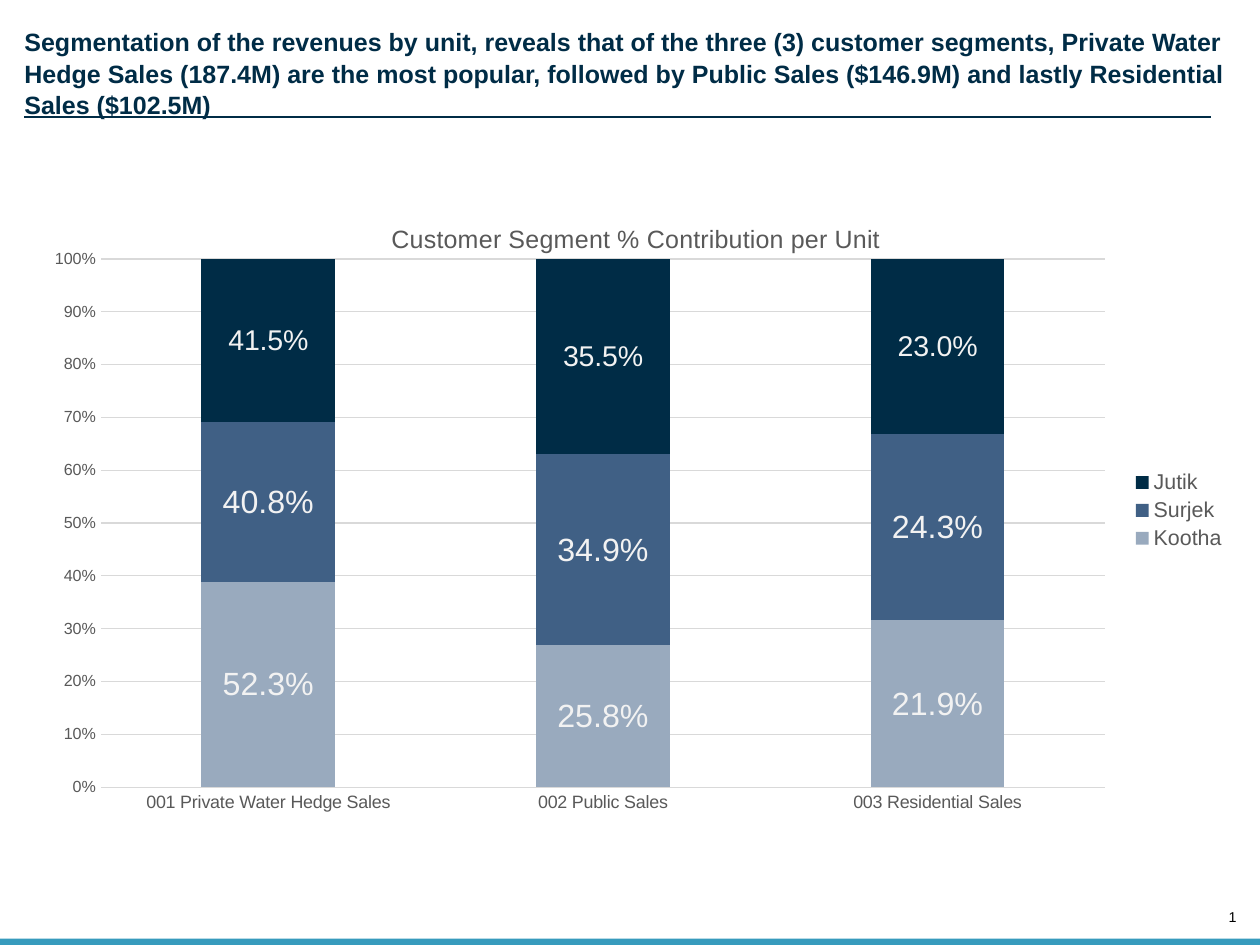
from lxml import etree
from pptx import Presentation
from pptx.chart.data import CategoryChartData
from pptx.dml.color import RGBColor
from pptx.enum.chart import XL_CHART_TYPE, XL_LABEL_POSITION, XL_LEGEND_POSITION, XL_TICK_MARK
from pptx.enum.shapes import MSO_CONNECTOR, MSO_SHAPE
from pptx.enum.text import MSO_ANCHOR, PP_ALIGN
from pptx.oxml.ns import qn
from pptx.util import Pt

STACKED = XL_CHART_TYPE.COLUMN_STACKED_100
CENTER = XL_LABEL_POSITION.CENTER
LEGEND_RIGHT = XL_LEGEND_POSITION.RIGHT
NO_TICK = XL_TICK_MARK.NONE
FONT = "Arial"
COLORS = {
    "navy": "002C46",
    "steel": "406085",
    "mist": "99AABE",
    "footer": "379BBD",
    "grey": "595959",
    "grid": "D9D9D9",
    "label": "F2F2F2",
    "black": "000000",
}
HEADLINE = (
    "Segmentation of the revenues by unit, reveals that of the three (3) customer segments, "
    "Private Water Hedge Sales (187.4M) are the most popular, followed by Public Sales "
    "($146.9M) and lastly Residential Sales ($102.5M)"
)
CATEGORIES = ["001 Private Water Hedge Sales", "002 Public Sales", "003 Residential Sales"]
SERIES = [  # name, values, color, label size
    ("Kootha", (0.523, 0.258, 0.219), "mist", 18),
    ("Surjek", (0.408, 0.349, 0.243), "steel", 18),
    ("Jutik", (0.415, 0.355, 0.23), "navy", 16),
]


def style_font(font, size, color, bold=False):
    font.name = FONT
    font.size = Pt(size)
    font.bold = bold
    font.color.rgb = RGBColor.from_string(COLORS[color])


def set_layout(parent, index, **settings):
    """Give a chart part a manual layout, placed as the child at index."""
    for old_layout in parent.findall(qn("c:layout")):
        parent.remove(old_layout)
    layout = etree.Element(qn("c:layout"))
    manual = etree.SubElement(layout, qn("c:manualLayout"))
    for name, value in settings.items():
        etree.SubElement(manual, qn("c:" + name)).set("val", str(value))
    parent.insert(index, layout)


presentation = Presentation()
presentation.slide_width = Pt(705.6)
presentation.slide_height = Pt(529.2)
slide = presentation.slides.add_slide(presentation.slide_layouts[6])

# Footer bar
footer = slide.shapes.add_shape(MSO_SHAPE.RECTANGLE, 0, Pt(525.6), Pt(705.6), Pt(3.6))
footer.shadow.inherit = False
footer.fill.solid()
footer.fill.fore_color.rgb = RGBColor.from_string(COLORS["footer"])
footer.line.fill.background()

# Headline and page number
texts = [  # text, box, size, color, bold, alignment, anchor, line spacing
    (HEADLINE, (13.7, 14.4, 688.3, 51.1), 14, "navy", True,
     PP_ALIGN.LEFT, MSO_ANCHOR.TOP, 1.04),
    ("1", (682.5, 509, 10, 9.4), 8, "black", False,
     PP_ALIGN.RIGHT, MSO_ANCHOR.BOTTOM, 1.0),
]
for text, box, size, color, bold, alignment, anchor, spacing in texts:
    frame = slide.shapes.add_textbox(*[Pt(length) for length in box]).text_frame
    frame.margin_left = frame.margin_right = frame.margin_top = frame.margin_bottom = 0
    frame.word_wrap = True
    frame.vertical_anchor = anchor
    frame.text = text
    paragraph = frame.paragraphs[0]
    paragraph.alignment = alignment
    paragraph.line_spacing = spacing
    style_font(paragraph.runs[0].font, size, color, bold)

rule = slide.shapes.add_connector(
    MSO_CONNECTOR.STRAIGHT, Pt(13.7), Pt(65.5), Pt(678.2), Pt(65.5))
rule.line.color.rgb = RGBColor.from_string(COLORS["navy"])
rule.line.width = Pt(0.75)
etree.SubElement(rule._element.spPr, qn("a:effectLst"))

# Chart
chart_data = CategoryChartData(number_format="0.0%")
chart_data.categories = CATEGORIES
for name, values, color, label_size in SERIES:
    chart_data.add_series(name, values)
chart = slide.shapes.add_chart(
    STACKED, Pt(21.6), Pt(108), Pt(672.5), Pt(355.7), chart_data).chart
style_font(chart.font, 10, "black")

chart.has_title = True
chart.chart_title.text_frame.text = "Customer Segment % Contribution per Unit"
style_font(chart.chart_title.text_frame.paragraphs[0].runs[0].font, 14, "grey")
chart.chart_title.include_in_layout = False
set_layout(chart.chart_title._element, 1, xMode="edge", yMode="edge", x=0.29, y=0.04)
set_layout(chart._chartSpace.chart.plotArea, 0, layoutTarget="inner",
           xMode="edge", yMode="edge", x=0.052, y=0.104, w=0.836, h=0.832)

chart.has_legend = True
chart.legend.position = LEGEND_RIGHT
chart.legend.include_in_layout = False
style_font(chart.legend.font, 12, "grey")

category_axis = chart.category_axis
value_axis = chart.value_axis
for axis, size in ((category_axis, 10), (value_axis, 9)):
    axis.major_tick_mark = axis.minor_tick_mark = NO_TICK
    style_font(axis.tick_labels.font, size, "grey")
value_axis.minimum_scale = 0
value_axis.maximum_scale = 1
value_axis.major_unit = 0.1
value_axis.tick_labels.number_format = "0%"
value_axis.tick_labels.number_format_is_linked = False
value_axis.format.line.fill.background()
for line in (category_axis.format.line, value_axis.major_gridlines.format.line):
    line.color.rgb = RGBColor.from_string(COLORS["grid"])
    line.width = Pt(0.75)

plot = chart.plots[0]
plot.gap_width = 150
plot.overlap = 100
plot.vary_by_categories = False
for series, (name, values, color, label_size) in zip(plot.series, SERIES):
    series.format.fill.solid()
    series.format.fill.fore_color.rgb = RGBColor.from_string(COLORS[color])
    labels = series.data_labels
    labels.show_value = True
    labels.position = CENTER
    labels.number_format = "0.0%"
    labels.number_format_is_linked = False
    style_font(labels.font, label_size, "label")

presentation.save("out.pptx")
